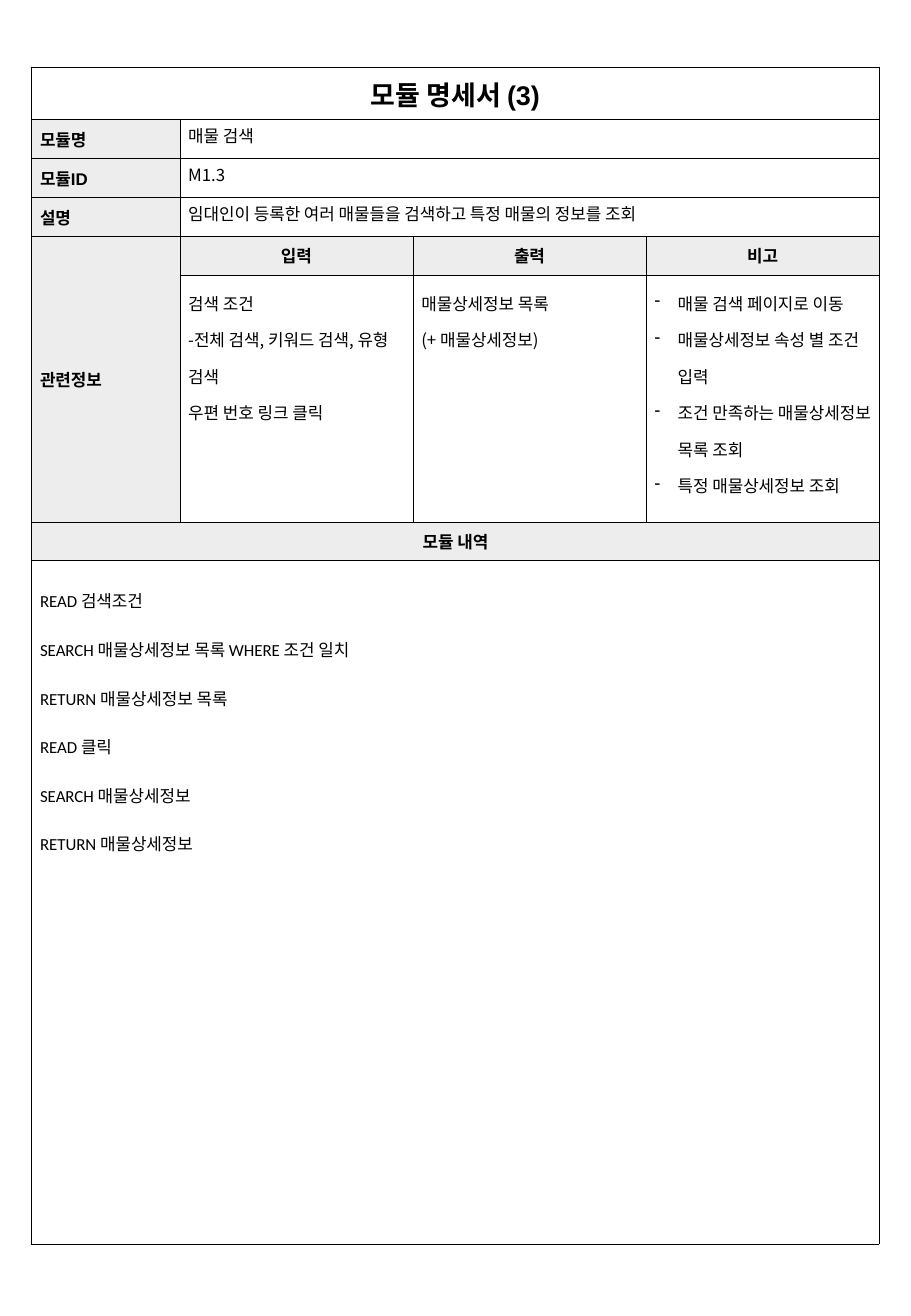
from dataclasses import dataclass
from typing import Optional

from lxml.etree import SubElement
from pptx import Presentation
from pptx.dml.color import RGBColor
from pptx.enum.text import MSO_ANCHOR as Anchor, PP_ALIGN as Align
from pptx.oxml import parse_xml
from pptx.oxml.ns import nsdecls, qn
from pptx.util import Emu, Pt

PX = 4572  # EMU per px, 200 px to the inch


def px(length: int) -> Emu:
    return Emu(length * PX)


@dataclass(frozen=True)
class Theme:
    ink: str = "000000"
    paper: str = "FFFFFF"
    shade: str = "EDEDED"
    label_font: str = "Arial"
    value_font: str = "Noto Sans CJK KR"
    code_font: str = "Calibri"
    korean_font: str = "Noto Sans CJK KR"
    title_size: int = 16
    text_size: int = 10
    border: float = 0.25


THEME = Theme()


@dataclass(frozen=True)
class Style:
    fill: str = THEME.paper
    font: str = THEME.value_font
    size: int = THEME.text_size
    bold: bool = False
    align: Align = Align.LEFT
    anchor: Anchor = Anchor.TOP
    line_spacing: Optional[float] = None
    bullet: Optional[str] = None


TITLE = Style(font=THEME.label_font, size=THEME.title_size, bold=True,
              align=Align.CENTER, anchor=Anchor.MIDDLE)
LABEL = Style(fill=THEME.shade, font=THEME.label_font, bold=True, anchor=Anchor.MIDDLE)
HEADING = Style(fill=THEME.shade, font=THEME.label_font, bold=True,
                align=Align.CENTER, anchor=Anchor.MIDDLE)
VALUE = Style()
DETAIL = Style(line_spacing=1.5)
NOTES = Style(line_spacing=1.5, bullet="-")
CODE = Style(font=THEME.code_font, line_spacing=2.0)


@dataclass(frozen=True)
class Entry:
    row: int
    column: int
    style: Style
    lines: tuple[str, ...]
    row_span: int = 1
    column_span: int = 1


# Table layout
LEFT, TOP = 52, 110
COLUMNS = (244, 384, 384, 384)
ROWS = (87, 64, 64, 64, 64, 406, 64, 1125)
INSET_X, INSET_Y, BULLET_INDENT = 14, 6, 38

# Table content
FIELDS = (
    ("모듈명", "매물 검색"),
    ("모듈ID", "M1.3"),
    ("설명", "임대인이 등록한 여러 매물들을 검색하고 특정 매물의 정보를 조회"),
)
DETAILS = (
    ("입력", DETAIL, ("검색 조건", "-전체 검색, 키워드 검색, 유형 검색", "우편 번호 링크 클릭")),
    ("출력", DETAIL, ("매물상세정보 목록", "(+ 매물상세정보)")),
    ("비고", NOTES, ("매물 검색 페이지로 이동", "매물상세정보 속성 별 조건 입력",
                   "조건 만족하는 매물상세정보 목록 조회", "특정 매물상세정보 조회")),
)
STEPS = (
    "READ 검색조건",
    "SEARCH 매물상세정보 목록 WHERE 조건 일치",
    "RETURN 매물상세정보 목록",
    "READ 클릭",
    "SEARCH 매물상세정보",
    "RETURN 매물상세정보",
)


def build_entries() -> list[Entry]:
    entries = [Entry(0, 0, TITLE, ("모듈 명세서 (3)",), column_span=4)]
    for row, (label, value) in enumerate(FIELDS, start=1):
        entries.append(Entry(row, 0, LABEL, (label,)))
        entries.append(Entry(row, 1, VALUE, (value,), column_span=3))
    entries.append(Entry(4, 0, LABEL, ("관련정보",), row_span=2))
    for column, (heading, style, lines) in enumerate(DETAILS, start=1):
        entries.append(Entry(4, column, HEADING, (heading,)))
        entries.append(Entry(5, column, style, lines))
    entries.append(Entry(6, 0, HEADING, ("모듈 내역",), column_span=4))
    entries.append(Entry(7, 0, CODE, STEPS, column_span=4))
    return entries


def add_borders(cell) -> None:
    properties = cell._tc.get_or_add_tcPr()
    for index, side in enumerate(("lnL", "lnR", "lnT", "lnB")):
        properties.insert(index, parse_xml(
            f'<a:{side} {nsdecls("a")} w="{Pt(THEME.border)}"><a:solidFill>'
            f'<a:srgbClr val="{THEME.ink}"/></a:solidFill></a:{side}>'))


def format_paragraph(para, style: Style) -> None:
    para.alignment = style.align
    if style.line_spacing:
        para.line_spacing = style.line_spacing
    if style.bullet:
        properties = para._p.get_or_add_pPr()
        properties.set("marL", str(px(BULLET_INDENT)))
        properties.set("indent", str(px(-BULLET_INDENT)))
        SubElement(properties, qn("a:buChar")).set("char", style.bullet)
    font = para.font
    font.name, font.size, font.bold = style.font, Pt(style.size), style.bold
    font.color.rgb = RGBColor.from_string(THEME.ink)
    latin = font._element.find(qn("a:latin"))
    latin.addnext(parse_xml(f'<a:ea {nsdecls("a")} typeface="{THEME.korean_font}"/>'))


def fill_entry(table, entry: Entry) -> None:
    cell = table.cell(entry.row, entry.column)
    last_row = entry.row + entry.row_span - 1
    last_column = entry.column + entry.column_span - 1
    if (last_row, last_column) != (entry.row, entry.column):
        cell.merge(table.cell(last_row, last_column))
    for row in range(entry.row, last_row + 1):
        for column in range(entry.column, last_column + 1):
            part = table.cell(row, column)
            part.fill.solid()
            part.fill.fore_color.rgb = RGBColor.from_string(entry.style.fill)
            add_borders(part)
    cell.vertical_anchor = entry.style.anchor
    cell.margin_left = cell.margin_right = px(INSET_X)
    cell.margin_top = cell.margin_bottom = px(INSET_Y)
    cell.text_frame.text = "\n".join(entry.lines)
    for para in cell.text_frame.paragraphs:
        format_paragraph(para, entry.style)


def main() -> None:
    deck = Presentation()
    deck.slide_width, deck.slide_height = px(1500), px(2166)
    page = deck.slides.add_slide(deck.slide_layouts[6])

    # Specification table
    table = page.shapes.add_table(len(ROWS), len(COLUMNS), px(LEFT), px(TOP),
                                  px(sum(COLUMNS)), px(sum(ROWS))).table
    table.first_row = table.horz_banding = False
    for column, width in zip(table.columns, COLUMNS):
        column.width = px(width)
    for row, height in zip(table.rows, ROWS):
        row.height = px(height)
    for entry in build_entries():
        fill_entry(table, entry)

    deck.save("out.pptx")


if __name__ == "__main__":
    main()
